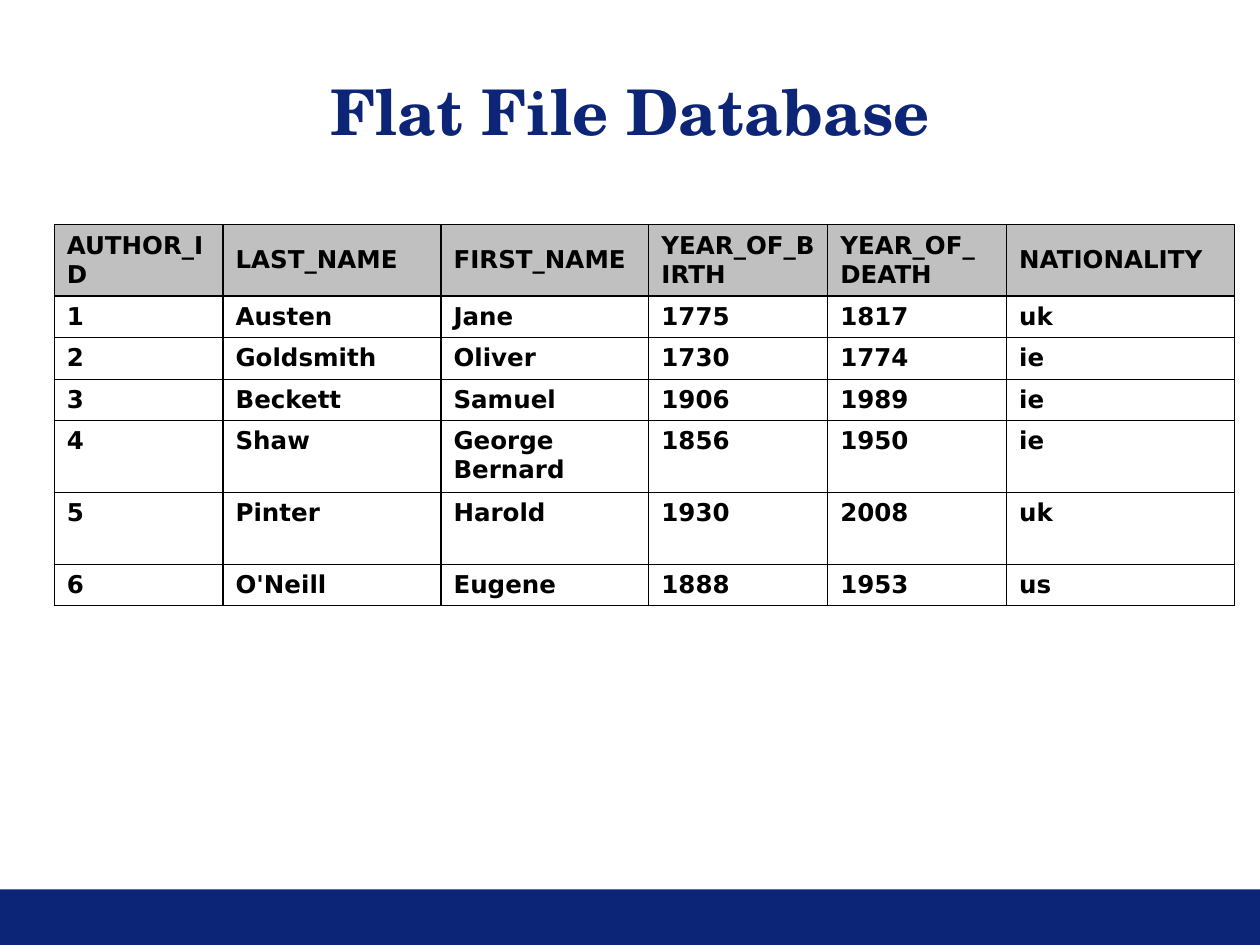
import lxml.etree
import pptx
import pptx.dml.color
import pptx.enum.shapes
import pptx.enum.text
import pptx.oxml.ns
import pptx.util

Inches = pptx.util.Inches
RGBColor = pptx.dml.color.RGBColor

NAVY = RGBColor(0x0C, 0x25, 0x77)
GREY = RGBColor(0xC0, 0xC0, 0xC0)
WHITE = RGBColor(0xFF, 0xFF, 0xFF)
BLACK = RGBColor(0, 0, 0)

COLUMN_WIDTHS = [1.34, 1.73, 1.65, 1.42, 1.42, 1.81]
ROW_HEIGHTS = [0.57, 0.33, 0.33, 0.33, 0.57, 0.57, 0.33]
AUTHORS = [
    ["AUTHOR_ID", "LAST_NAME", "FIRST_NAME", "YEAR_OF_BIRTH", "YEAR_OF_DEATH", "NATIONALITY"],
    ["1", "Austen", "Jane", "1775", "1817", "uk"],
    ["2", "Goldsmith", "Oliver", "1730", "1774", "ie"],
    ["3", "Beckett", "Samuel", "1906", "1989", "ie"],
    ["4", "Shaw", "George Bernard", "1856", "1950", "ie"],
    ["5", "Pinter", "Harold", "1930", "2008", "uk"],
    ["6", "O'Neill", "Eugene", "1888", "1953", "us"],
]


def set_font(font, name, size, color):
    font.name = name
    font.size = pptx.util.Pt(size)
    font.bold = True
    font.color.rgb = color


def add_footer_band(s, left, top, width, height):
    sp = s.shapes.add_shape(pptx.enum.shapes.MSO_SHAPE.RECTANGLE, left, top, width, height)
    sp.shadow.inherit = False
    sp.fill.solid()
    sp.fill.fore_color.rgb = NAVY
    sp.line.fill.background()


def place_title(s, text, left, top, width, height):
    sp = s.shapes.title
    sp.left, sp.top, sp.width, sp.height = left, top, width, height
    tf = sp.text_frame
    tf.text = text
    tf.word_wrap = True
    tf.auto_size = pptx.enum.text.MSO_AUTO_SIZE.NONE
    tf.vertical_anchor = pptx.enum.text.MSO_ANCHOR.MIDDLE
    p = tf.paragraphs[0]
    p.alignment = pptx.enum.text.PP_ALIGN.CENTER
    set_font(p.font, "TeX Gyre Schola", 36, NAVY)


def set_borders(cell, color, points):
    tc_pr = cell._tc.get_or_add_tcPr()
    qn = pptx.oxml.ns.qn
    for index, side in enumerate(["a:lnL", "a:lnR", "a:lnT", "a:lnB"]):
        ln = lxml.etree.Element(qn(side), w=str(pptx.util.Pt(points)))
        fill = lxml.etree.SubElement(ln, qn("a:solidFill"))
        lxml.etree.SubElement(fill, qn("a:srgbClr"), val=str(color))
        tc_pr.insert(index, ln)


def add_author_table(s, left, top, width, height):
    frame = s.shapes.add_table(len(AUTHORS), len(COLUMN_WIDTHS), left, top, width, height)
    table = frame.table
    table.horz_banding = False
    for column, share in zip(table.columns, COLUMN_WIDTHS):
        column.width = int(width * share / sum(COLUMN_WIDTHS))
    for row, share in zip(table.rows, ROW_HEIGHTS):
        row.height = int(height * share / sum(ROW_HEIGHTS))
    for row_index, values in enumerate(AUTHORS):
        header = row_index == 0
        for column_index, value in enumerate(values):
            cell = table.cell(row_index, column_index)
            cell.text = value
            cell.fill.solid()
            cell.fill.fore_color.rgb = GREY if header else WHITE
            if header:
                cell.vertical_anchor = pptx.enum.text.MSO_ANCHOR.MIDDLE
            set_font(cell.text_frame.paragraphs[0].font, "DejaVu Sans", 14, BLACK)
            set_borders(cell, BLACK, 0.75)


def main():
    prs = pptx.Presentation()
    prs.slide_width, prs.slide_height = Inches(10), Inches(7.5)
    s = prs.slides.add_slide(prs.slide_layouts[5])
    add_footer_band(s, 0, Inches(7.06), prs.slide_width, Inches(0.44))
    place_title(s, "Flat File Database", 0, Inches(0.52), prs.slide_width, Inches(0.71))
    add_author_table(s, Inches(0.43), Inches(1.78), Inches(9.37), Inches(3.03))
    prs.save("out.pptx")


if __name__ == "__main__":
    main()
